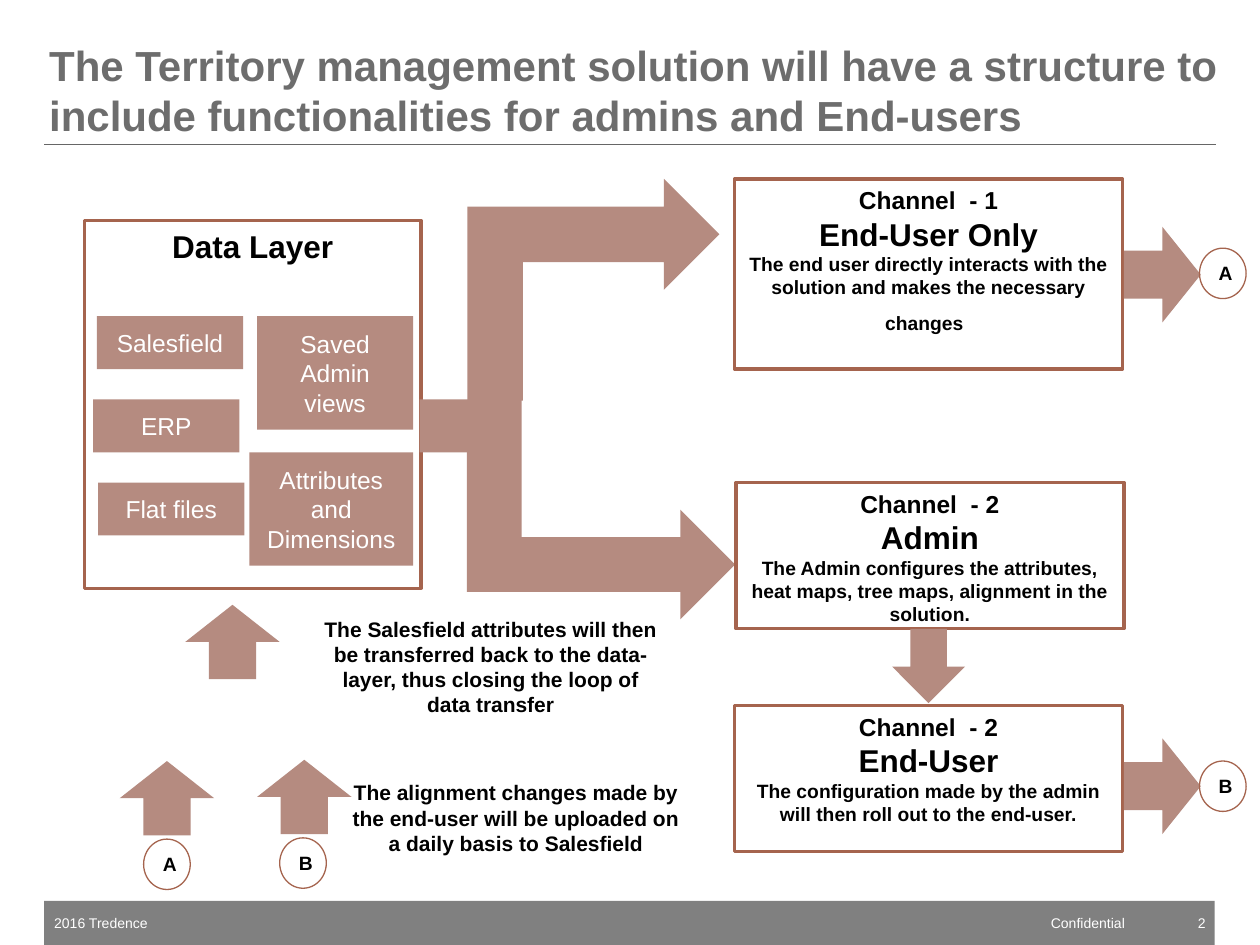
from lxml.etree import SubElement
from pptx import Presentation
from pptx.dml.color import RGBColor
from pptx.enum.shapes import MSO_CONNECTOR, MSO_SHAPE as Shape
from pptx.enum.text import MSO_ANCHOR as Anchor, MSO_AUTO_SIZE as AutoSize, PP_ALIGN as Align
from pptx.oxml.ns import qn
from pptx.util import Pt

EMU_PER_PX = 9144  # 100 px to the inch
COLORS = {
    "title": "6D6D6D", "rule": "666666", "footer": "808080", "block": "B58B80",
    "border": "A5644E", "white": "FFFFFF", "black": "000000",
}
FORMATS = {
    "title": {"size": Pt(24), "bold": True},
    "heading": {"size": Pt(18), "bold": True},
    "channel": {"size": Pt(14), "bold": True},
    "detail": {"size": Pt(11), "bold": True},
    "caption": {"size": Pt(12), "bold": True},
    "block": {"size": Pt(14), "bold": False},
    "footer": {"size": Pt(8), "bold": False},
}
INSET = (10, 5, 10, 5)


def px(value):
    return round(value * EMU_PER_PX)


def color(name):
    return RGBColor.from_string(COLORS[name])


def write(shape, paragraphs, ink, align=Align.CENTER, anchor=Anchor.TOP, inset=INSET, wrap=True):
    """Fill a shape with paragraphs, each one a list of (text, format name) spans."""
    frame = shape.text_frame
    left, top, right, bottom = map(px, inset)
    layout = {
        "auto_size": AutoSize.NONE, "word_wrap": wrap, "vertical_anchor": anchor,
        "margin_left": left, "margin_top": top, "margin_right": right, "margin_bottom": bottom,
    }
    for name, value in layout.items():
        setattr(frame, name, value)
    for index, spans in enumerate(paragraphs):
        para = frame.add_paragraph() if index else frame.paragraphs[0]
        para.alignment = align
        for text, style in spans:
            span = para.add_run()
            span.text = text
            for name, value in FORMATS[style].items():
                setattr(span.font, name, value)
            span.font.name = "Arial"
            span.font.color.rgb = color(ink)


def add_shape(page, kind, bounds, fill=None, line_width=None):
    shape = page.shapes.add_shape(kind, *map(px, bounds))
    shape.shadow.inherit = False
    if fill:
        shape.fill.solid()
        shape.fill.fore_color.rgb = color(fill)
    else:
        shape.fill.background()
    if line_width:
        shape.line.color.rgb = color("border")
        shape.line.width = Pt(line_width)
    else:
        shape.line.fill.background()
    return shape


def add_text(page, bounds, text, style, ink, **layout):
    box = page.shapes.add_textbox(*map(px, bounds))
    write(box, [[(text, style)]], ink, **layout)


def add_block(page, bounds, text):
    block = add_shape(page, Shape.RECTANGLE, bounds, "block")
    write(block, [[(text, "block")]], "white", anchor=Anchor.MIDDLE)


def add_panel(page, bounds, paragraphs):
    panel = add_shape(page, Shape.RECTANGLE, bounds, line_width=2)
    write(panel, paragraphs, "black")


def add_marker(page, left, top, letter):
    marker = add_shape(page, Shape.OVAL, (left, top, 37, 40), line_width=0.75)
    write(marker, [[(letter, "detail")]], "black", align=Align.LEFT)


def add_title(page, text):
    title = page.shapes.title
    title.left, title.top, title.width, title.height = map(px, (39, 28, 929, 83))
    write(title, [[(text, "title")]], "title", align=Align.LEFT,
          anchor=Anchor.BOTTOM, inset=(0, 0, 0, 0))
    rule = page.shapes.add_connector(MSO_CONNECTOR.STRAIGHT, *map(px, (35, 115, 965, 115)))
    rule.line.color.rgb = color("rule")
    rule.line.width = Pt(0.5)
    SubElement(rule._element.spPr, qn("a:effectLst"))


def add_footer(page):
    add_shape(page, Shape.RECTANGLE, (35, 715, 929, 35), "footer")
    for left, width, text, align, indent in [
        (35, 84, "2016 Tredence", Align.LEFT, 8),
        (833, 60, "Confidential", Align.RIGHT, 0),
        (943, 14, "2", Align.RIGHT, 0),
    ]:
        add_text(page, (left, 726, width, 13), text, "footer", "white",
                 align=align, inset=(indent, 0, 0, 0), wrap=False)


def add_data_layer(page):
    add_panel(page, (67, 175, 267, 292), [[("Data Layer", "heading")]])
    for bounds, text in [
        ((77, 251, 116, 42), "Salesfield"),
        ((74, 317, 116, 42), "ERP"),
        ((78, 383, 116, 42), "Flat files"),
        ((204, 251, 124, 90), "Saved Admin views"),
        ((198, 359, 130, 90), "Attributes and Dimensions"),
    ]:
        add_block(page, bounds, text)


def add_branches(page):
    upper = add_shape(page, Shape.BENT_ARROW, (371, 142, 200, 176), "block")
    for index, value in enumerate((0.25, 0.25, 0.25, 0)):
        upper.adjustments[index] = value
    lower = add_shape(page, Shape.BENT_UP_ARROW, (390, 298, 174, 213), "block")
    lower.rotation = 90
    # Stem that joins the data layer to both branches
    add_shape(page, Shape.RECTANGLE, (333, 317, 39, 42), "block")


def add_channels(page):
    for bounds, channel, role, detail in [
        ((583, 142, 308, 151), "Channel  - 1", "End-User Only",
         [("The end user directly interacts with the solution and makes the necessary changes",
           "detail"), (" ", "heading")]),
        ((584, 383, 308, 116), "Channel  - 2", "Admin",
         [("The Admin configures the attributes, heat maps, tree maps, "
           "alignment in the solution.", "detail")]),
        ((583, 560, 308, 116), "Channel  - 2", "End-User",
         [("The configuration made by the admin will then roll out to the end-user.", "detail")]),
    ]:
        add_panel(page, bounds, [[(channel, "channel")], [(role, "heading")], detail])
    add_shape(page, Shape.DOWN_ARROW, (708, 499, 58, 59), "block")
    # Outputs to the A and B markers
    for arrow_top, marker_top, letter in [(180, 197, "A"), (586, 604, "B")]:
        add_shape(page, Shape.RIGHT_ARROW, (892, arrow_top, 61, 76), "block")
        add_marker(page, 952, marker_top, letter)


def add_feedback_loop(page):
    for left, top in [(204, 603), (95, 604), (147, 480)]:
        add_shape(page, Shape.UP_ARROW, (left, top, 75, 59), "block")
    add_marker(page, 114, 666, "A")
    add_marker(page, 222, 665, "B")
    for bounds, text in [
        ((266, 614, 287, 71), "The alignment changes made by the end-user "
                              "will be uploaded on a daily basis to Salesfield"),
        ((246, 484, 287, 91), "The Salesfield attributes will then be transferred back "
                              "to the data-layer, thus closing the loop of data transfer"),
    ]:
        add_text(page, bounds, text, "caption", "black")


def main():
    deck = Presentation()
    deck.slide_width, deck.slide_height = px(1000), px(750)
    page = deck.slides.add_slide(deck.slide_layouts[5])
    # Page frame
    add_title(page, "The Territory management solution will have a structure to "
                    "include functionalities for admins and End-users")
    add_footer(page)
    # Flow from the data layer to the channels and back
    add_data_layer(page)
    add_branches(page)
    add_channels(page)
    add_feedback_loop(page)
    deck.save("out.pptx")


if __name__ == "__main__":
    main()
